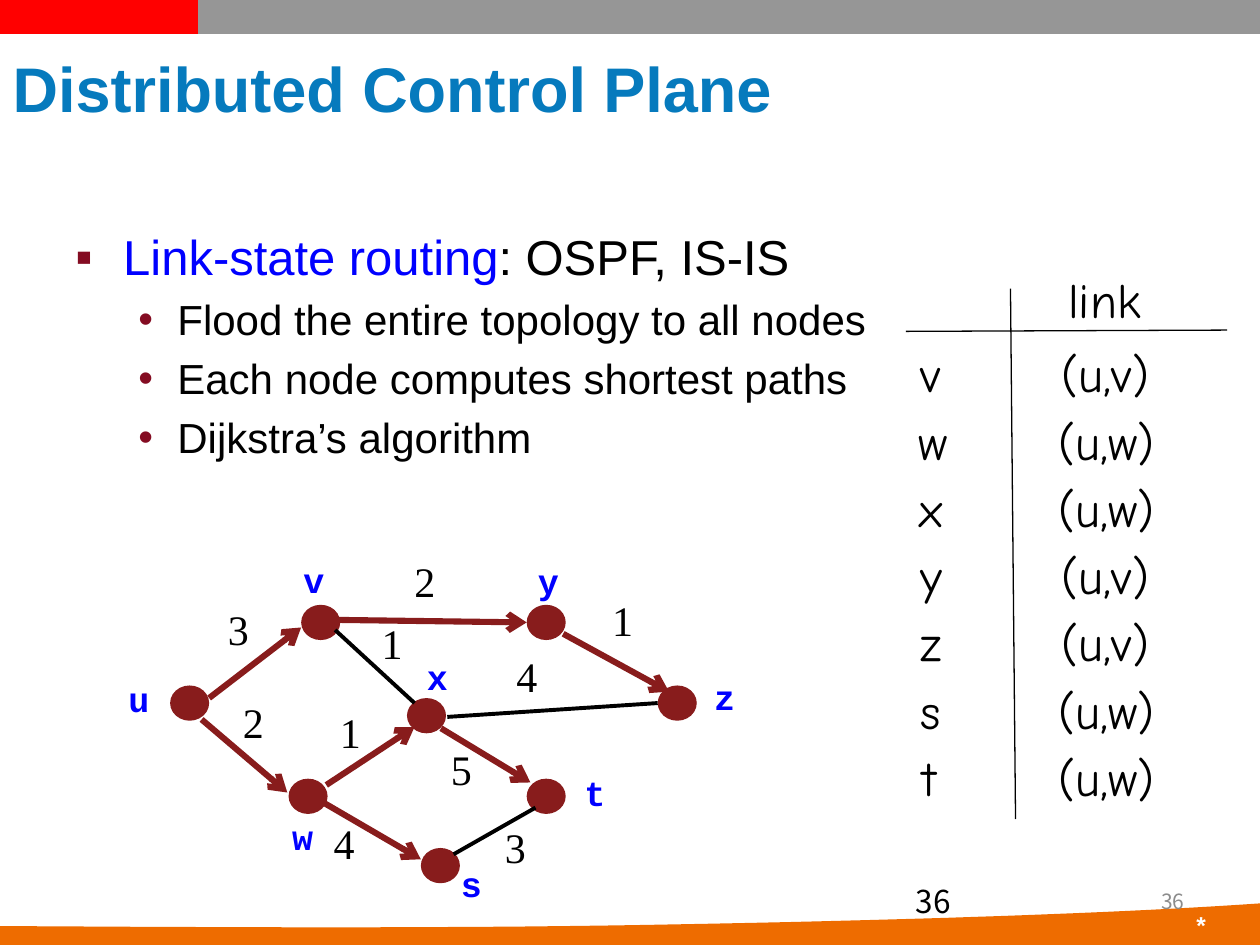
from dataclasses import dataclass

from lxml.etree import SubElement
from pptx import Presentation
from pptx.dml.color import RGBColor
from pptx.enum.shapes import MSO_CONNECTOR, MSO_SHAPE
from pptx.enum.text import MSO_ANCHOR, MSO_AUTO_SIZE, PP_ALIGN
from pptx.oxml.ns import qn
from pptx.util import Inches, Pt


@dataclass(frozen=True)
class Theme:
    """Colours, fonts and type sizes of the slide."""
    title: str = "067ABD"
    accent: str = "0000FF"
    ink: str = "000000"
    maroon: str = "881C1C"
    bullet: str = "840C22"
    gray: str = "969696"
    red: str = "FF0000"
    orange: str = "EE6C00"
    white: str = "FFFFFF"
    pale: str = "8C8C8C"
    sans: str = "Arial"
    serif: str = "Times New Roman"
    mono: str = "Courier New"
    comic: str = "Comic Neue"
    number: str = "Noto Sans CJK SC"
    title_size: int = 36
    lead_size: int = 28
    body_size: int = 24
    label_size: int = 20
    page_size: int = 18
    mark_size: int = 14
    small_size: int = 12


THEME = Theme()
COLUMNS, ROWS = 100, 75
WIDTH, HEIGHT = Inches(10), Inches(7.5)
NODE_WIDTH, NODE_HEIGHT = 3.1, 2.8

NODES = [
    ("u", 15.05, 55.8, 9.2, 53.3, 3.7),
    ("v", 25.45, 49.4, 23.1, 43.8, 3.5),
    ("w", 24.45, 63.2, 22.2, 64.2, 4.3),
    ("x", 33.85, 56.8, 32.9, 51.5, 3.6),
    ("y", 43.35, 49.4, 41.7, 43.9, 3.5),
    ("z", 53.75, 55.8, 55.7, 53.1, 3.4),
    ("s", 34.95, 68.7, 35.6, 68, 3.6),
    ("t", 43.35, 63.2, 45.4, 60.7, 2.9),
]
TREE_LINKS = [
    ("3", (16.6, 55.4), (23.9, 49.8), (17.1, 47.4)),
    ("2", (16, 57.1), (22.8, 62.9), (18.3, 54.8)),
    ("4", (25.5, 63.6), (33.4, 68.2), (25.5, 64.4)),
    ("1", (25.9, 62.3), (32.9, 57.7), (26, 55.6)),
    ("5", (35, 57.8), (42.1, 62.1), (34.8, 58.5)),
    ("2", (26.7, 49.2), (41.8, 49.4), (31.9, 43.6)),
    ("1", (44.7, 50.3), (53.1, 54.9), (47.6, 46.7)),
]
OTHER_LINKS = [
    ("1", (26.6, 50), (32.9, 55.8), (29.3, 48.5)),
    ("3", (36, 67.8), (42.5, 64.1), (39.1, 64.7)),
    ("4", (35.5, 56.9), (52.2, 55.8), (40, 51.1)),
]
ROUTES = [
    ("v", "v", 72.1), ("w", "w", 71.9), ("x", "w", 72), ("y", "v", 72.1),
    ("z", "v", 72.1), ("s", "w", 72.1), ("t", "w", 72.2),
]
POINTS = ["Flood the entire topology to all nodes",
          "Each node computes shortest paths", "Dijkstra’s algorithm"]


def across(columns):
    """Turn grid columns into a length."""
    return round(WIDTH * columns / COLUMNS)


def down(rows):
    """Turn grid rows into a length."""
    return round(HEIGHT * rows / ROWS)


def box(left, top, width, height):
    """Turn a grid rectangle into lengths."""
    return across(left), down(top), across(width), down(height)


def write(paragraph, text, size, font=THEME.sans, color=THEME.ink, bold=False):
    """Add a formatted run to a paragraph."""
    run = paragraph.add_run()
    run.text = text
    run.font.size = Pt(size)
    run.font.name = font
    run.font.bold = bold
    run.font.color.rgb = RGBColor.from_string(color)


def space_before(paragraph, percent):
    """Set the space above a paragraph as a share of its line."""
    spacing = SubElement(paragraph._p.get_or_add_pPr(), qn("a:spcBef"))
    SubElement(spacing, qn("a:spcPct")).set("val", str(percent * 1000))


def add_bullet(paragraph, character, margin, hanging, level):
    """Give a paragraph a coloured hanging bullet."""
    paragraph.level = level
    space_before(paragraph, 20)
    properties = paragraph._p.get_or_add_pPr()
    properties.set("marL", str(across(margin)))
    properties.set("indent", str(-across(hanging)))
    color = SubElement(properties, qn("a:buClr"))
    SubElement(color, qn("a:srgbClr")).set("val", THEME.bullet)
    SubElement(properties, qn("a:buFont")).set("typeface", THEME.sans)
    SubElement(properties, qn("a:buChar")).set("char", character)


def add_label(shapes, text, area, wrap=False, align=PP_ALIGN.LEFT,
              anchor=MSO_ANCHOR.TOP, **style):
    """Add a one-line text box and return its paragraph."""
    frame = shapes.add_textbox(*box(*area)).text_frame
    frame.word_wrap = wrap
    frame.auto_size = MSO_AUTO_SIZE.NONE if wrap else MSO_AUTO_SIZE.SHAPE_TO_FIT_TEXT
    frame.vertical_anchor = anchor
    paragraph = frame.paragraphs[0]
    paragraph.alignment = align
    write(paragraph, text, **style)
    return paragraph


def add_line(shapes, start, end, color, weight, arrow=False):
    """Draw a straight line, with an arrowhead at its end if asked."""
    line = shapes.add_connector(MSO_CONNECTOR.STRAIGHT, across(start[0]), down(start[1]),
                                across(end[0]), down(end[1]))
    line.line.color.rgb = RGBColor.from_string(color)
    line.line.width = Pt(weight)
    properties = line._element.spPr
    if arrow:
        SubElement(properties.get_or_add_ln(), qn("a:tailEnd")).set("type", "arrow")
    SubElement(properties, qn("a:effectLst"))


def paint(shape, color):
    """Fill a shape flatly, without outline or shadow."""
    shape.shadow.inherit = False
    shape.fill.solid()
    shape.fill.fore_color.rgb = RGBColor.from_string(color)
    shape.line.fill.background()


def curve(points, steps=24):
    """Sample a cubic curve after its first point."""
    for step in range(1, steps + 1):
        t = step / steps
        weights = ((1 - t) ** 3, 3 * t * (1 - t) ** 2, 3 * t * t * (1 - t), t ** 3)
        x, y = (sum(w * p[axis] for w, p in zip(weights, points)) for axis in (0, 1))
        yield across(x), down(y)


def add_frame(shapes):
    """Draw the header bars and the footer wave."""
    add_line(shapes, (0, 1.3), (COLUMNS, 1.3), THEME.gray, 20)
    add_line(shapes, (0, 1.3), (15.7, 1.3), THEME.red, 20)
    start, middle, end = (0, 73.5), (51.9, 73.4), (COLUMNS, 71.7)
    wave = shapes.build_freeform(across(start[0]), down(start[1]), scale=1.0)
    wave.add_line_segments([
        *curve([start, (17.6, 73.6), (35.2, 73.7), middle]),
        *curve([middle, (68.6, 73.1), (87, 72.6), end]),
        (WIDTH, HEIGHT), (0, HEIGHT)], close=True)
    paint(wave.convert_to_shape(), THEME.orange)
    mark = add_label(shapes, "*", (90, 71.7, 6.7, 3.3), wrap=True, align=PP_ALIGN.RIGHT,
                     size=THEME.mark_size, color=THEME.white, bold=True)
    space_before(mark, 50)


def set_title(title, text):
    """Place and format the title placeholder."""
    title.left, title.top, title.width, title.height = box(0, 3.2, 97.5, 7.4)
    frame = title.text_frame
    frame.auto_size = MSO_AUTO_SIZE.NONE
    frame.vertical_anchor = MSO_ANCHOR.MIDDLE
    frame.paragraphs[0].alignment = PP_ALIGN.LEFT
    write(frame.paragraphs[0], text, THEME.title_size, color=THEME.title, bold=True)


def add_points(shapes):
    """Write the bulleted text."""
    frame = shapes.add_textbox(*box(5, 17.5, 90, 25.2)).text_frame
    frame.word_wrap = True
    lead = frame.paragraphs[0]
    add_bullet(lead, "▪", 3.8, 3.8, 0)
    write(lead, "Link-state routing", THEME.lead_size, color=THEME.accent)
    write(lead, ": OSPF, IS-IS", THEME.lead_size)
    for text in POINTS:
        point = frame.add_paragraph()
        add_bullet(point, "•", 8.1, 3.1, 1)
        write(point, text, THEME.body_size)


def add_routes(shapes):
    """Draw the ruled list of destinations and links."""
    style = {"size": THEME.lead_size, "font": THEME.comic}
    add_line(shapes, (80.2, 22.9), (80.6, 65), THEME.ink, 0.75)
    add_line(shapes, (71.9, 26.3), (97.4, 26.2), THEME.ink, 0.75)
    add_label(shapes, "link", (83.8, 20.9, 8.3, 5.7), **style)
    for row, (target, hop, left) in enumerate(ROUTES):
        top = 26.8 + row * 5.34
        link_left, link_width = (83.3, 9.8) if hop == "v" else (83, 10.6)
        add_label(shapes, target, (left, top, 4, 5.7), **style)
        add_label(shapes, f"(u,{hop})", (link_left, top, link_width, 5.7), **style)


def add_network(shapes):
    """Draw the nodes, the weighted links and their labels."""
    for _, x, y, *_ in NODES:
        area = box(x - NODE_WIDTH / 2, y - NODE_HEIGHT / 2, NODE_WIDTH, NODE_HEIGHT)
        paint(shapes.add_shape(MSO_SHAPE.OVAL, *area), THEME.maroon)
    for links, color, weight, arrow in ((TREE_LINKS, THEME.maroon, 3.5, True),
                                        (OTHER_LINKS, THEME.ink, 2.25, False)):
        for cost, start, end, corner in links:
            add_line(shapes, start, end, color, weight, arrow)
            add_label(shapes, cost, (*corner, 3.7, 5), size=THEME.body_size, font=THEME.serif)
    for name, _, _, left, top, width in NODES:
        add_label(shapes, name, (left, top, width, 4.3), size=THEME.label_size,
                  font=THEME.mono, color=THEME.accent, bold=True)


def main():
    """Build the slide and save it."""
    presentation = Presentation()
    presentation.slide_width, presentation.slide_height = WIDTH, HEIGHT
    slide = presentation.slides.add_slide(presentation.slide_layouts[5])
    shapes = slide.shapes
    add_frame(shapes)
    set_title(shapes.title, "Distributed Control Plane")
    add_points(shapes)
    page_area = (71.7, 69.5, 23.3, 4)
    add_label(shapes, "36", page_area, wrap=True, size=THEME.page_size, font=THEME.number)
    add_label(shapes, "36", page_area, wrap=True, align=PP_ALIGN.RIGHT,
              anchor=MSO_ANCHOR.MIDDLE, size=THEME.small_size, font=THEME.number,
              color=THEME.pale)
    add_routes(shapes.add_group_shape().shapes)
    add_network(shapes)
    presentation.save("out.pptx")


main()
